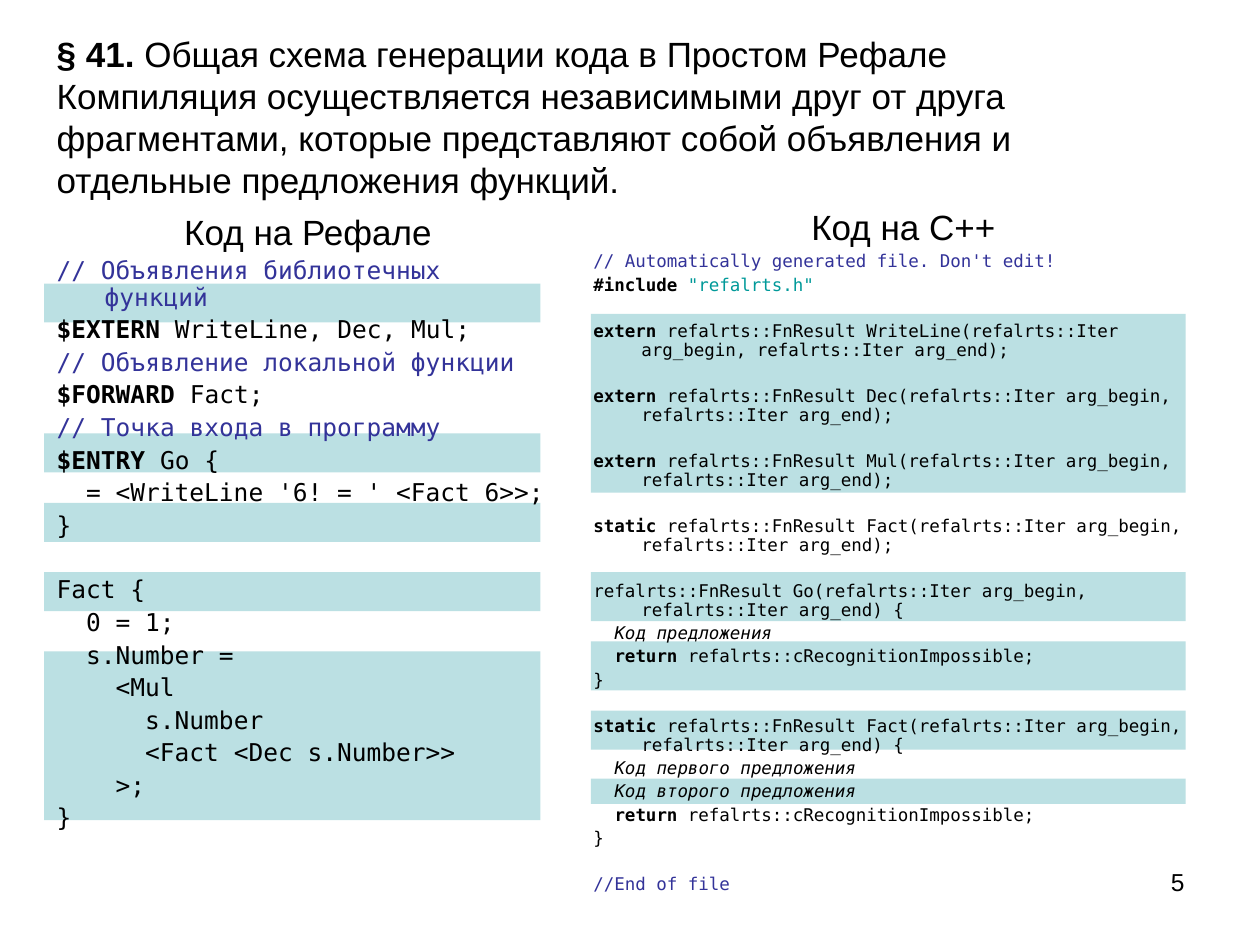
from collections import namedtuple

from lxml.etree import SubElement
from pptx import Presentation
from pptx.dml.color import RGBColor
from pptx.enum.shapes import MSO_SHAPE
from pptx.enum.text import MSO_ANCHOR, MSO_AUTO_SIZE, PP_ALIGN
from pptx.oxml.ns import qn
from pptx.util import Inches, Pt

BLACK = RGBColor(0x00, 0x00, 0x00)
COMMENT = RGBColor(0x33, 0x33, 0x99)
STRING = RGBColor(0x00, 0x99, 0x99)
BAND = RGBColor(0xBB, 0xE0, 0xE3)

SANS = "Arial"
MONO = "DejaVu Sans Mono"
CELL = Inches(0.1)
HANGING = Inches(0.38)
CHAR_WIDTH = 0.602
LINE_PITCH = 1.05

Style = namedtuple("Style", "color bold italic", defaults=(BLACK, False, False))
PLAIN = Style()
KEYWORD = Style(bold=True)
NOTE = Style(COMMENT)
QUOTED = Style(STRING)
ITALIC = Style(italic=True)

Line = namedtuple("Line", "runs depth gap")

REFAL_BANDS = [(22.5, 3.1), (34.4, 3.1), (39.9, 3.1), (45.4, 3.1), (51.7, 13.4)]
CPP_BANDS = [(24.9, 14.2), (45.4, 3.9), (50.9, 3.9), (56.4, 3.1), (61.8, 2)]


def line(*runs, depth=0, gap=False):
    return Line(runs, depth, gap)


def code(text, depth=0, gap=False):
    return line((text, PLAIN), depth=depth, gap=gap)


def keyword(word, rest, depth=0, gap=False):
    return line((word, KEYWORD), (rest, PLAIN), depth=depth, gap=gap)


def signature(name, end):
    return (f" refalrts::FnResult {name}(refalrts::Iter arg_begin, "
            f"refalrts::Iter arg_end){end}")


def refal_lines():
    return [
        line(("// Объявления библиотечных функций", NOTE)),
        keyword("$EXTERN", " WriteLine, Dec, Mul;"),
        line(("// Объявление локальной функции", NOTE)),
        keyword("$FORWARD", " Fact;"),
        line(("// Точка входа в программу", NOTE)),
        keyword("$ENTRY", " Go {"),
        code("= <WriteLine '6! = ' <Fact 6>>;", 1),
        code("}"),
        code("Fact {", gap=True),
        code("0 = 1;", 1),
        code("s.Number =", 1),
        code("<Mul", 2),
        code("s.Number", 3),
        code("<Fact <Dec s.Number>>", 3),
        code(">;", 2),
        code("}"),
    ]


def cpp_lines():
    ending = [keyword("return", " refalrts::cRecognitionImpossible;", 1), code("}")]
    externs = [keyword("extern", signature(name, ";"), gap=True)
               for name in ("WriteLine", "Dec", "Mul")]
    return [
        line(("// Automatically generated file. Don't edit!", NOTE)),
        line(("#include ", KEYWORD), ('"refalrts.h"', QUOTED)),
        *externs,
        keyword("static", signature("Fact", ";"), gap=True),
        code(signature("Go", " {").strip(), gap=True),
        line(("Код предложения", ITALIC), depth=1),
        *ending,
        keyword("static", signature("Fact", " {"), gap=True),
        line(("Код первого предложения", ITALIC), depth=1),
        line(("Код второго предложения", ITALIC), depth=1),
        *ending,
        line(("//End of file", NOTE), gap=True),
    ]


def grid(*cells):
    return [round(n * CELL) for n in cells]


def place(sp, *cells):
    sp.left, sp.top, sp.width, sp.height = grid(*cells)


def add_run(p, text, size, font=SANS, style=PLAIN):
    r = p.add_run()
    r.text = text
    r.font.size = Pt(size)
    r.font.name = font
    r.font.bold = style.bold
    r.font.italic = style.italic
    r.font.color.rgb = style.color


def format_paragraph(p, before, spacing, first_indent=0):
    p.space_before = Pt(before)
    p.line_spacing = spacing
    pPr = p._p.get_or_add_pPr()
    pPr.set("marL", str(HANGING))
    pPr.set("indent", str(first_indent - HANGING))
    SubElement(pPr, qn("a:buNone"))


def add_bands(s, left, width, bands):
    for top, height in bands:
        sp = s.shapes.add_shape(MSO_SHAPE.RECTANGLE, *grid(left, top, width, height))
        sp.shadow.inherit = False
        sp.fill.solid()
        sp.fill.fore_color.rgb = BAND
        sp.line.fill.background()


def fill_title(sp):
    place(sp, 3.5, 2.1, 90, 14.3)
    tf = sp.text_frame
    tf.auto_size = MSO_AUTO_SIZE.NONE
    tf.vertical_anchor = MSO_ANCHOR.MIDDLE
    p = tf.paragraphs[0]
    p.alignment = PP_ALIGN.LEFT
    add_run(p, "§ 41.", 20, style=KEYWORD)
    add_run(p, " Общая схема генерации кода в Простом Рефале", 20)
    p.add_line_break()
    add_run(p, "Компиляция осуществляется независимыми друг от друга фрагментами, "
               "которые представляют собой объявления и отдельные предложения функций.", 20)


def fill_listing(sp, heading, heading_spacing, lines, size):
    tf = sp.text_frame
    tf.auto_size = MSO_AUTO_SIZE.NONE
    p = tf.paragraphs[0]
    p.alignment = PP_ALIGN.CENTER
    format_paragraph(p, 5, heading_spacing)
    add_run(p, heading, 20)
    before = size / 4
    for item in lines:
        p = tf.add_paragraph()
        skipped = before + size * LINE_PITCH if item.gap else 0
        indent = Pt(item.depth * 2 * CHAR_WIDTH * size)
        format_paragraph(p, before + skipped, 0.9, indent)
        for text, style in item.runs:
            add_run(p, text, size, MONO, style)


def add_page_number(s, number):
    tf = s.shapes.add_textbox(*grid(71.7, 68.3, 23.3, 5.2)).text_frame
    tf.word_wrap = True
    p = tf.paragraphs[0]
    p.alignment = PP_ALIGN.RIGHT
    add_run(p, number, 14)


def main():
    prs = Presentation()
    prs.slide_width, prs.slide_height = grid(100, 75)
    s = prs.slides.add_slide(prs.slide_layouts[3])
    title, refal, cpp = s.placeholders

    add_page_number(s, "5")
    add_bands(s, 3.5, 39.4, REFAL_BANDS)
    add_bands(s, 46.9, 47.2, CPP_BANDS)

    fill_title(title)
    place(refal, 3.5, 16.2, 41.9, 54.6)
    fill_listing(refal, "Код на Рефале", 1.0, refal_lines(), 14)
    place(cpp, 46.1, 16.2, 51.2, 55.5)
    fill_listing(cpp, "Код на C++", 0.9, cpp_lines(), 10)
    for sp in (refal, cpp):
        s.shapes.element.append(sp.element)

    prs.save("out.pptx")


if __name__ == "__main__":
    main()
